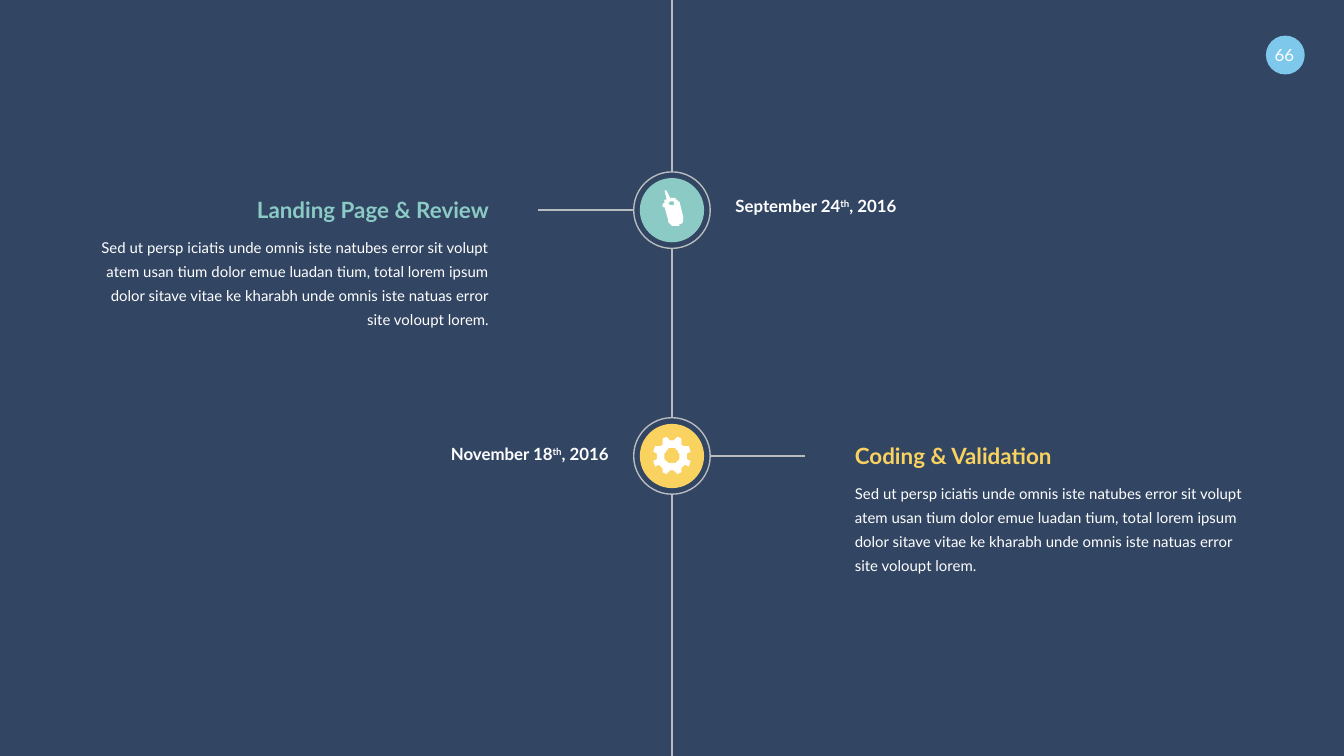
from math import cos, radians, sin

from lxml import etree
from pptx import Presentation
from pptx.dml.color import RGBColor
from pptx.enum.shapes import MSO_CONNECTOR, MSO_SHAPE
from pptx.enum.text import PP_ALIGN
from pptx.oxml.ns import qn
from pptx.util import Pt

OVAL = MSO_SHAPE.OVAL
STRAIGHT = MSO_CONNECTOR.STRAIGHT
LEFT, CENTER, RIGHT = PP_ALIGN.LEFT, PP_ALIGN.CENTER, PP_ALIGN.RIGHT

COLORS = {"navy": "324664", "sky": "7DC8EB", "teal": "8CCBC5",
          "yellow": "FAD25F", "gray": "B9BCBF", "white": "FFFFFF"}
FONT = "Lato"
BODY = ("Sed ut persp iciatis unde omnis iste natubes error sit volupt atem usan "
        "tium dolor emue luadan tium, total lorem ipsum dolor sitave vitae ke "
        "kharabh unde omnis iste natuas error site voloupt lorem.")
PAGE = "66"
# side is where the description sits: -1 left of the axis, 1 right of it
EVENTS = [
    {"title": "Landing Page & Review", "date": ("September 24", "th", ", 2016"),
     "side": -1, "color": "teal", "icon": "mouse", "y": 112.6, "date_top": 105.1},
    {"title": "Coding & Validation", "date": ("November 18", "th", ", 2016"),
     "side": 1, "color": "yellow", "icon": "gear", "y": 244.3, "date_top": 237.6},
]

WIDTH, HEIGHT, AXIS = 720, 405, 360
RING, DOT = 41, 34.4
TEXT_GAP, TEXT_W = 98, 208
DATE_GAP, DATE_W = 34, 116.6
BRANCH = 51

prs = Presentation()
prs.slide_width, prs.slide_height = Pt(WIDTH), Pt(HEIGHT)
s = prs.slides.add_slide(prs.slide_layouts[6])


def rgb(name):
    return RGBColor.from_string(COLORS[name])


def add_text(runs, x, y, w, h, size=9, color="white", bold=False, align=LEFT, spacing=None):
    """Add a text box; every second run is superscript."""
    tf = s.shapes.add_textbox(Pt(x), Pt(y), Pt(w), Pt(h)).text_frame
    tf.word_wrap = True
    tf.margin_left = tf.margin_right = tf.margin_top = tf.margin_bottom = 0
    p = tf.paragraphs[0]
    p.alignment = align
    if spacing:
        p.line_spacing = spacing
    for i, text in enumerate(runs):
        r = p.add_run()
        r.text = text
        r.font.name, r.font.size, r.font.bold = FONT, Pt(size), bold
        r.font.color.rgb = rgb(color)
        if i % 2:
            r.font._element.set("baseline", "30000")


def add_line(x1, y1, x2, y2):
    line = s.shapes.add_connector(STRAIGHT, Pt(x1), Pt(y1), Pt(x2), Pt(y2))
    line.line.color.rgb, line.line.width = rgb("gray"), Pt(1)
    etree.SubElement(line._element.spPr, qn("a:effectLst"))


def add_circle(cx, cy, size, fill=None):
    """Add a filled disc, or a thin gray ring when fill is None."""
    sp = s.shapes.add_shape(OVAL, Pt(cx - size / 2), Pt(cy - size / 2), Pt(size), Pt(size))
    sp.shadow.inherit = False
    if fill:
        sp.fill.solid()
        sp.fill.fore_color.rgb = rgb(fill)
        sp.line.fill.background()
    else:
        sp.fill.background()
        sp.line.color.rgb, sp.line.width = rgb("gray"), Pt(0.75)


def polar(cx, cy, radius, angle):
    return cx + radius * cos(radians(angle)), cy + radius * sin(radians(angle))


def arc(cx, cy, radius, start, end, steps=16):
    return [polar(cx, cy, radius, start + (end - start) * i / steps)
            for i in range(steps + 1)]


def gear():
    tooth = [(-9, 8.3), (0, 7.9), (9, 8.3), (15, 10.4), (30, 10.4)]
    rim = [polar(0, 0, radius, 45 * i + angle) for i in range(8) for angle, radius in tooth]
    return [rim, arc(0, 0, 4.2, 360, 0, 32)]


def mouse():
    top, bottom, radius = (-0.4, -2.9), (1.8, 4.3), 4.2
    tail = [polar(*top, 8.3, 241), polar(*top, 8.3, 252)]
    body = (arc(*bottom, radius, -17, 163) + arc(*top, radius, 163, 235)
            + tail + arc(*top, radius, 257, 343))
    return [body, arc(-0.4, -3.6, 1.3, 360, 0)]


def add_icon(contours, cx, cy):
    placed = [[(cx + x, cy + y) for x, y in points] for points in contours]
    builder = s.shapes.build_freeform(*placed[0][0], scale=Pt(1))
    for i, points in enumerate(placed):
        if i:
            builder.move_to(*points[0])
        builder.add_line_segments(points[1:], close=True)
    sp = builder.convert_to_shape()
    sp.shadow.inherit = False
    sp.fill.solid()
    sp.fill.fore_color.rgb = rgb("white")
    sp.line.fill.background()


ICONS = {"gear": gear, "mouse": mouse}

s.background.fill.solid()
s.background.fill.fore_color.rgb = rgb("navy")
add_circle(688.6, 29.5, 20.8, "sky")
add_text([PAGE], 679, 23.8, 18, 10.8, align=CENTER)

# The axis runs between the rings and out to both slide edges
stops = [0]
for event in EVENTS:
    stops += [event["y"] - RING / 2, event["y"] + RING / 2]
stops.append(HEIGHT)
for start, end in zip(stops[::2], stops[1::2]):
    add_line(AXIS, start, AXIS, end)

for event in EVENTS:
    y, side, color = event["y"], event["side"], event["color"]
    add_line(AXIS + side * RING / 2, y, AXIS + side * (RING / 2 + BRANCH), y)
    if side < 0:
        text_x, date_x = AXIS - TEXT_GAP - TEXT_W, AXIS + DATE_GAP
        text_align, date_align = RIGHT, LEFT
    else:
        text_x, date_x = AXIS + TEXT_GAP, AXIS - DATE_GAP - DATE_W
        text_align, date_align = LEFT, RIGHT
    add_text(event["date"], date_x, event["date_top"], DATE_W, 10.8,
             bold=True, align=date_align)
    add_text([event["title"]], text_x, y - 7.4, TEXT_W, 14.4,
             size=12, color=color, bold=True, align=text_align)
    add_text([BODY], text_x, y + 11.7, TEXT_W, 51,
             size=8, align=text_align, spacing=1.35)
    add_circle(AXIS, y, RING)
    add_circle(AXIS, y, DOT, color)
    add_icon(ICONS[event["icon"]](), AXIS, y)

prs.save("out.pptx")
